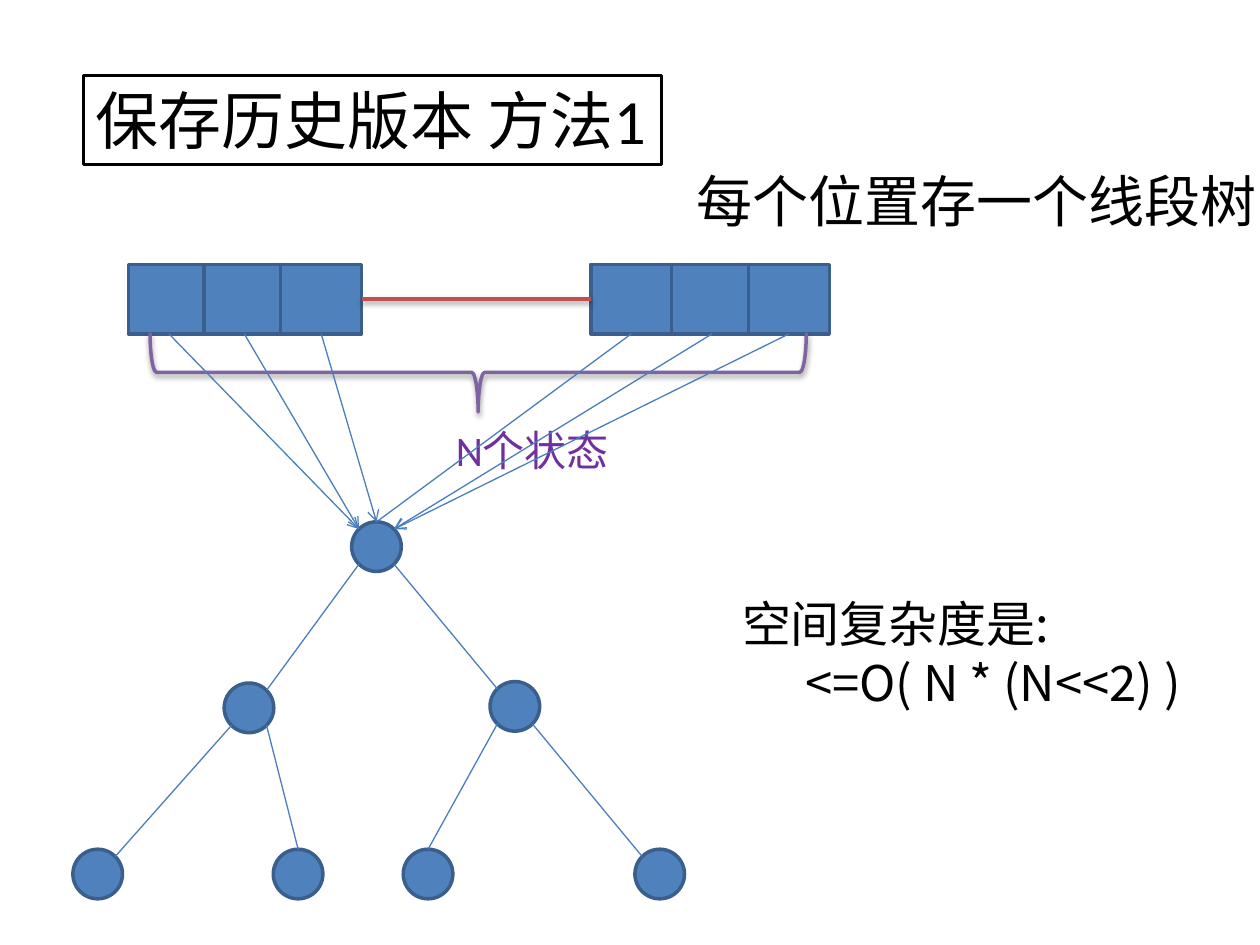
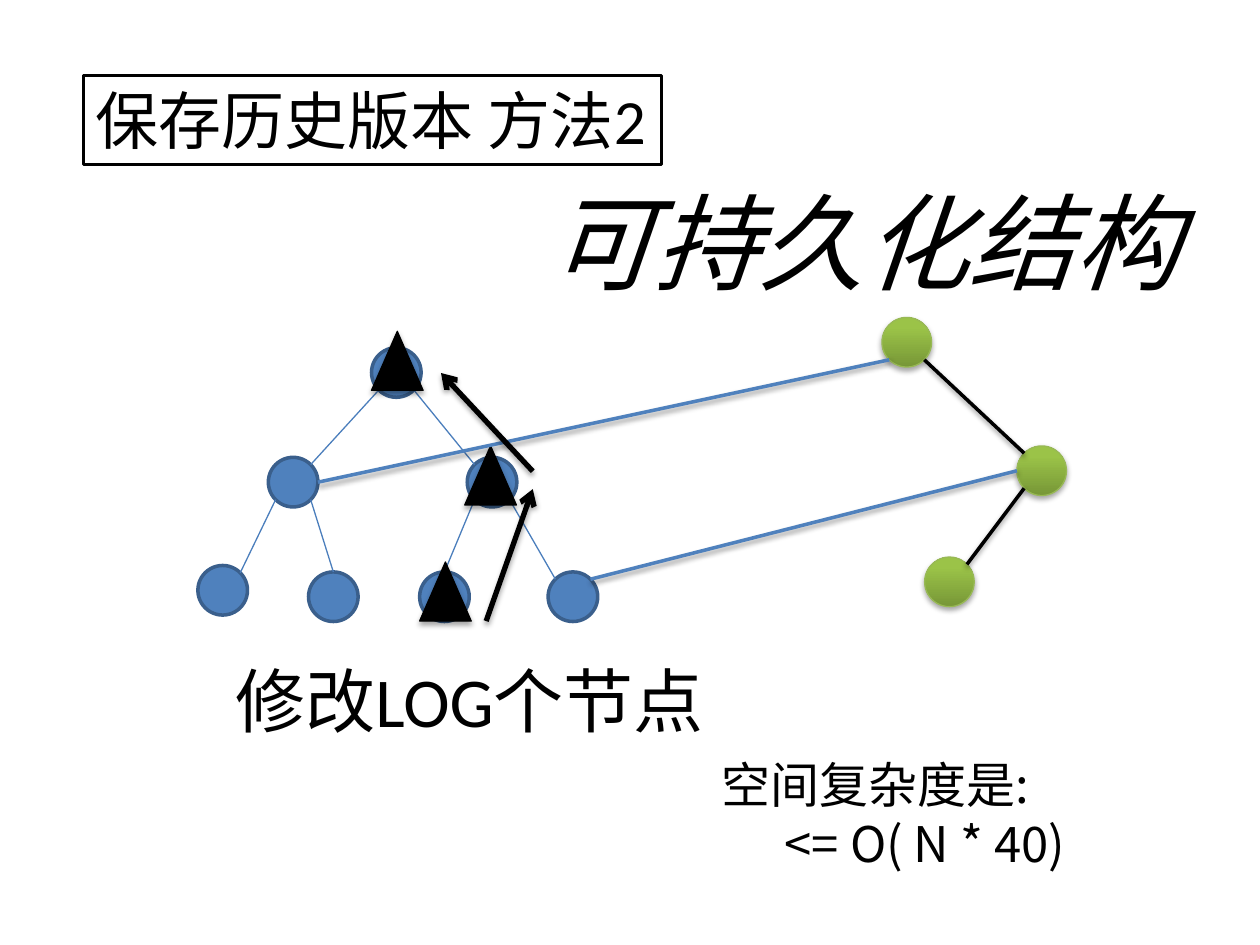
from math import sqrt

from lxml import etree
from pptx import Presentation
from pptx.dml.color import RGBColor
from pptx.enum.shapes import MSO_CONNECTOR, MSO_SHAPE
from pptx.enum.text import MSO_ANCHOR, PP_ALIGN
from pptx.oxml.ns import qn
from pptx.util import Cm, Pt

RECTANGLE = MSO_SHAPE.RECTANGLE
OVAL = MSO_SHAPE.OVAL
TRIANGLE = MSO_SHAPE.ISOSCELES_TRIANGLE
LEFT_BRACE = MSO_SHAPE.LEFT_BRACE
STRAIGHT = MSO_CONNECTOR.STRAIGHT
LEFT = PP_ALIGN.LEFT
TOP = MSO_ANCHOR.TOP

BLACK, BLUE, BLUE_EDGE, BLUE_THIN = "000000", "4F81BD", "3A5F8C", "4B7EBC"
RED, PURPLE, PURPLE_TEXT = "C0504D", "8064A2", "7030A0"
GREEN_EDGE, GREEN_DARK, GREEN_LIGHT = "98B955", "779737", "9BC348"
LATIN, CJK = "Calibri", "Noto Sans CJK SC"

# Shadows: opacity in percent, blur and distance in points
SOFT = (38, 3.1, 1.6)
STRONG = (35, 3.1, 1.8)

# Lengths below are centimetres
NODE = 1.0
TITLE_BOX = (1.68, 1.52, 11.66, 1.8)

# Nodes run level by level: root, two children, four leaves
BIG_TREE = [(7.09, 10.52), (4.52, 13.77), (9.88, 13.74),
            (1.47, 17.12), (5.51, 17.12), (8.13, 17.12), (12.8, 17.12)]
SMALL_TREE = [(7.49, 7.01), (5.41, 9.22), (9.42, 9.22),
              (3.99, 11.4), (6.22, 11.53), (8.46, 11.53), (11.05, 11.53)]
NEW_NODES = [(17.78, 6.4), (20.5, 8.99), (18.64, 11.23)]
# parent, side it leaves from, child, side it reaches
EDGES = [(0, "sw", 1, "ne"), (0, "se", 2, "nw"),
         (1, "sw", 3, "ne"), (1, "se", 4, "n"),
         (2, "sw", 5, "n"), (2, "se", 6, "nw")]

CELL_TOP, CELL_WIDTH, CELL_HEIGHT = 5.33, 1.63, 1.4
# left edge, side of the root it points to, arrowhead
CELLS = [(2.59, "nw", True), (4.11, "nw", True), (5.66, "n", True),
         (11.91, "n", False), (13.54, "ne", True), (15.09, "ne", True)]
BRACE_BOX = (8.84, 0.89, 1.6, 13.23)

CHANGED_MARKS = [(8.46, 11.33), (9.37, 8.99), (7.49, 6.68)]
MARK_SIZE = (1.04, 1.19)
UPDATE_ARROWS = [((9.8, 12.52), (10.74, 9.86)), ((10.74, 9.5), (8.89, 7.52))]

# box, lines, size, font, colour, italic
STATES = ((8.94, 8.43, 3.63, 1.27), ["N个状态"], 24, LATIN, PURPLE_TEXT, False)
SLIDE_1_TEXTS = [
    ((14.71, 11.84, 10.8, 2.64), ["空间复杂度是:", "\t<=O( N * (N<<2) )"],
     28, CJK, BLACK, False),
    ((13.79, 3.23, 11.91, 1.63), ["每个位置存一个线段树"],
     32, LATIN, BLACK, False),
]
SLIDE_2_TEXTS = [
    ((14.3, 15.09, 8.99, 2.64), ["空间复杂度是:", "\t<= O( N * 40)"],
     28, CJK, BLACK, False),
    ((4.5, 13.13, 10.16, 1.96), ["修改LOG个节点"], 40, LATIN, BLACK, False),
    ((10.8, 3.45, 13.34, 2.82), ["可持久化结构"], 60, LATIN, BLACK, True),
]


def rgb(value):
    return RGBColor.from_string(value)


def cm(values):
    return [Cm(value) for value in values]


def fill_effects(effects, shadow):
    """Put a downward black shadow in an effect list."""
    if not shadow:
        return
    opacity, blur, distance = shadow
    outer = etree.SubElement(effects, qn("a:outerShdw"), blurRad=str(Pt(blur)),
                             dist=str(Pt(distance)), dir="5400000",
                             rotWithShape="0")
    color = etree.SubElement(outer, qn("a:srgbClr"), val=BLACK)
    etree.SubElement(color, qn("a:alpha"), val=str(opacity * 1000))


def add_figure(slide, preset, box, fill, edge, width=2, shadow=None):
    figure = slide.shapes.add_shape(preset, *cm(box))
    if fill:
        figure.fill.solid()
        figure.fill.fore_color.rgb = rgb(fill)
    else:
        figure.fill.background()
    figure.line.color.rgb = rgb(edge)
    figure.line.width = Pt(width)
    figure.shadow.inherit = False
    fill_effects(figure._element.spPr.find(qn("a:effectLst")), shadow)
    return figure


def add_link(slide, start, end, color=BLUE_THIN, width=0.75, arrow=False,
             shadow=None):
    link = slide.shapes.add_connector(STRAIGHT, *cm(start + end))
    link.line.color.rgb = rgb(color)
    link.line.width = Pt(width)
    if arrow:
        etree.SubElement(link.line._get_or_add_ln(), qn("a:tailEnd"), type="arrow")
    effects = etree.SubElement(link._element.spPr, qn("a:effectLst"))
    fill_effects(effects, shadow)


def write(frame, lines, size, font, color, italic):
    frame.word_wrap = True
    frame.vertical_anchor = TOP
    for index, line in enumerate(lines):
        paragraph = frame.add_paragraph() if index else frame.paragraphs[0]
        paragraph.text = line
        paragraph.alignment = LEFT
        paragraph.font.size = Pt(size)
        paragraph.font.name = font
        paragraph.font.color.rgb = rgb(color)
        paragraph.font.italic = italic


def add_text(slide, box, *style):
    write(slide.shapes.add_textbox(*cm(box)).text_frame, *style)


def side(node, direction):
    """Point on a node's rim, for a compass direction such as "n" or "sw"."""
    dx = ("e" in direction) - ("w" in direction)
    dy = ("s" in direction) - ("n" in direction)
    radius = NODE / 2
    reach = radius / sqrt(dx * dx + dy * dy)
    return node[0] + radius + dx * reach, node[1] + radius + dy * reach


def add_tree(slide, nodes):
    for node in nodes:
        add_figure(slide, OVAL, (*node, NODE, NODE), BLUE, BLUE_EDGE)
    for parent, leaving, child, reaching in EDGES:
        add_link(slide, side(nodes[parent], leaving), side(nodes[child], reaching))


def add_new_node(slide, node):
    circle = add_figure(slide, OVAL, (*node, NODE, NODE), None, GREEN_EDGE,
                        0.75, STRONG)
    circle.fill.gradient()
    circle.fill.gradient_angle = 90
    stops = zip(circle.fill.gradient_stops, [(0, GREEN_DARK), (0.8, GREEN_LIGHT)])
    for stop, (position, color) in stops:
        stop.position = position
        stop.color.rgb = rgb(color)


def add_method_slide(deck, number):
    slide = deck.slides.add_slide(deck.slide_layouts[6])
    title = add_figure(slide, RECTANGLE, TITLE_BOX, None, BLACK)
    write(title.text_frame, [f"保存历史版本 方法{number}"], 36, LATIN, BLACK, False)
    return slide


def build_tree_per_position(deck):
    slide = add_method_slide(deck, 1)
    add_tree(slide, BIG_TREE)
    for left, _, _ in CELLS:
        add_figure(slide, RECTANGLE, (left, CELL_TOP, CELL_WIDTH, CELL_HEIGHT),
                   BLUE, BLUE_EDGE)
    middle = CELL_TOP + CELL_HEIGHT / 2
    add_link(slide, (CELLS[2][0] + CELL_WIDTH, middle), (CELLS[3][0], middle),
             RED, 2, shadow=SOFT)
    brace = add_figure(slide, LEFT_BRACE, BRACE_BOX, None, PURPLE, shadow=SOFT)
    brace.rotation = 270
    for text in [STATES] + SLIDE_1_TEXTS:
        add_text(slide, *text)
    for left, reaching, arrow in CELLS:
        add_link(slide, (left + CELL_WIDTH / 2, CELL_TOP + CELL_HEIGHT),
                 side(BIG_TREE[0], reaching), arrow=arrow)


def build_persistent_tree(deck):
    slide = add_method_slide(deck, 2)
    add_tree(slide, SMALL_TREE)
    for mark in CHANGED_MARKS:
        add_figure(slide, TRIANGLE, mark + MARK_SIZE, BLACK, BLACK, 0.75, STRONG)
    for node in NEW_NODES:
        add_new_node(slide, node)
    root, child, leaf = NEW_NODES
    for start, end, color in [
        (side(root, "sw"), side(SMALL_TREE[1], "e"), BLUE),
        (side(root, "se"), side(child, "nw"), BLACK),
        (side(child, "sw"), side(leaf, "ne"), BLACK),
        (side(child, "w"), side(SMALL_TREE[6], "ne"), BLUE),
    ]:
        add_link(slide, start, end, color, 2, shadow=SOFT)
    for start, end in UPDATE_ARROWS:
        add_link(slide, start, end, BLACK, 3, True, STRONG)
    for text in SLIDE_2_TEXTS:
        add_text(slide, *text)


def main():
    deck = Presentation()
    deck.slide_width, deck.slide_height = Cm(25.4), Cm(19.05)
    build_tree_per_position(deck)
    build_persistent_tree(deck)
    deck.save("out.pptx")


if __name__ == "__main__":
    main()
